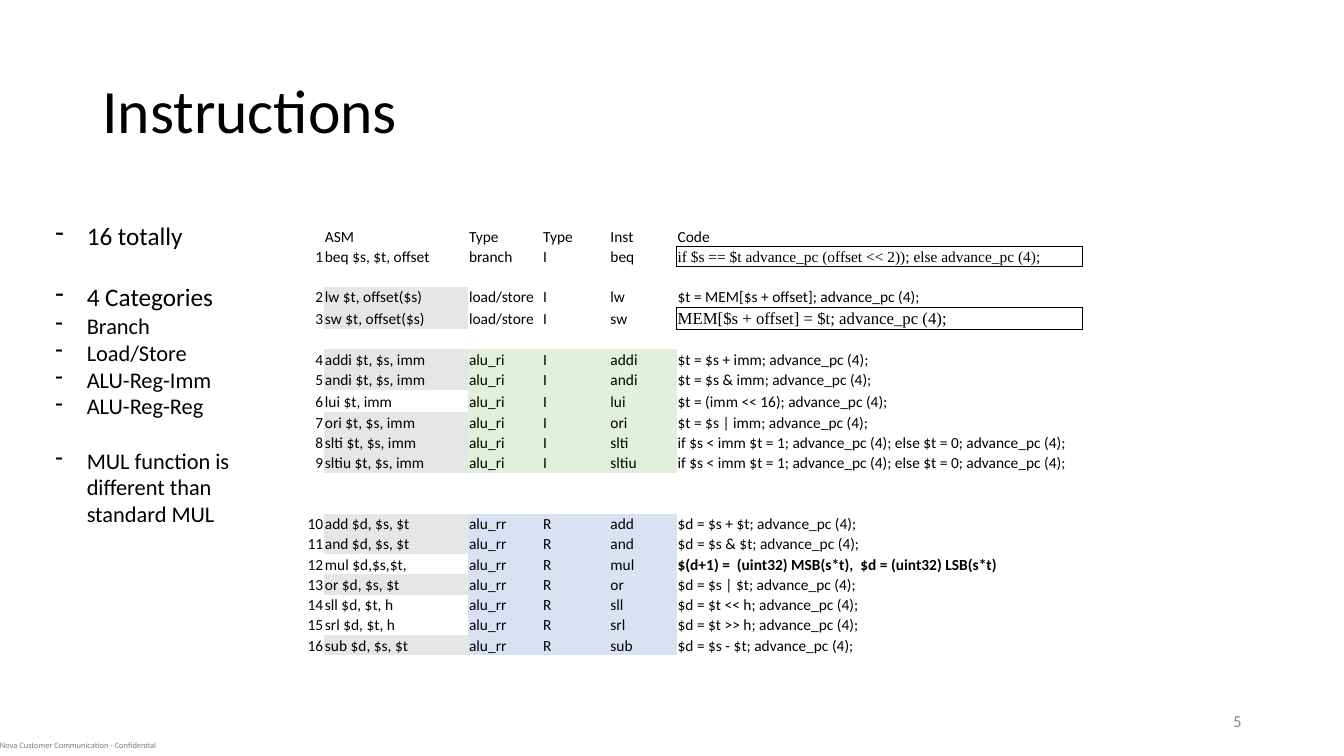
import pptx
import pptx.dml.color
import pptx.enum.text
import pptx.oxml
import pptx.oxml.ns
import pptx.util
from lxml import etree

Pt = pptx.util.Pt
RGBColor = pptx.dml.color.RGBColor
ALIGN = pptx.enum.text.PP_ALIGN
ANCHOR = pptx.enum.text.MSO_ANCHOR
qn = pptx.oxml.ns.qn

BLACK = RGBColor(0x00, 0x00, 0x00)
WHITE = RGBColor(0xFF, 0xFF, 0xFF)
FOOTER_GREY = RGBColor(0x7F, 0x7F, 0x7F)
NUMBER_GREY = RGBColor(0x8C, 0x8C, 0x8C)
ASM_GREY = RGBColor(0xE7, 0xE6, 0xE6)
GREEN = RGBColor(0xE2, 0xEF, 0xDA)
BLUE = RGBColor(0xD9, 0xE1, 0xF2)

prs = pptx.Presentation()
prs.slide_width, prs.slide_height = Pt(960), Pt(540)
s = prs.slides.add_slide(prs.slide_layouts[6])


def add_run(p, text, size, color=BLACK, name="Calibri", bold=False):
    r = p.add_run()
    r.text = text
    for key, value in {"size": Pt(size), "name": name, "bold": bold}.items():
        setattr(r.font, key, value)
    r.font.color.rgb = color


def add_box(left, top, width, height, anchor):
    tf = s.shapes.add_textbox(Pt(left), Pt(top), Pt(width), Pt(height)).text_frame
    tf.word_wrap = True
    tf.vertical_anchor = anchor
    return tf


# Footer, title and slide number
tf = add_box(0, 525, 127.5, 15, ANCHOR.MIDDLE)
for side in ("left", "right", "top", "bottom"):
    setattr(tf, "margin_" + side, 0)
add_run(tf.paragraphs[0], "Nova Customer Communication - Confidential", 6, FOOTER_GREY)

p = add_box(66, 28.8, 828, 104.4, ANCHOR.MIDDLE).paragraphs[0]
p.line_spacing = 0.9
add_run(p, "Instructions", 44)

p = add_box(678, 500.5, 216, 28.8, ANCHOR.MIDDLE).paragraphs[0]
p.alignment = ALIGN.RIGHT
add_run(p, "5", 12, NUMBER_GREY)

# Instruction table: number, ASM, type, format, instruction, code
ROWS = [
    ("", "ASM", "Type", "Type", "Inst", "Code"),
    ("1", "beq $s, $t, offset", "branch", "I", "beq",
     "if $s == $t advance_pc (offset << 2)); else advance_pc (4);"),
    (),
    ("2", "lw $t, offset($s)", "load/store", "I", "lw", "$t = MEM[$s + offset]; advance_pc (4);"),
    ("3", "sw $t, offset($s)", "load/store", "I", "sw", "MEM[$s + offset] = $t; advance_pc (4);"),
    (),
    ("4", "addi $t, $s, imm", "alu_ri", "I", "addi", "$t = $s + imm; advance_pc (4);"),
    ("5", "andi $t, $s, imm", "alu_ri", "I", "andi", "$t = $s & imm; advance_pc (4);"),
    ("6", "lui $t, imm", "alu_ri", "I", "lui", "$t = (imm << 16); advance_pc (4);"),
    ("7", "ori $t, $s, imm", "alu_ri", "I", "ori", "$t = $s | imm; advance_pc (4);"),
    ("8", "slti $t, $s, imm", "alu_ri", "I", "slti",
     "if $s < imm $t = 1; advance_pc (4); else $t = 0; advance_pc (4);"),
    ("9", "sltiu $t, $s, imm", "alu_ri", "I", "sltiu",
     "if $s < imm $t = 1; advance_pc (4); else $t = 0; advance_pc (4);"),
    (),
    (),
    ("10", "add $d, $s, $t", "alu_rr", "R", "add", "$d = $s + $t; advance_pc (4);"),
    ("11", "and $d, $s, $t", "alu_rr", "R", "and", "$d = $s & $t; advance_pc (4);"),
    ("12", "mul $d,$s,$t,", "alu_rr", "R", "mul",
     "$(d+1) =  (uint32) MSB(s*t),  $d = (uint32) LSB(s*t)"),
    ("13", "or $d, $s, $t", "alu_rr", "R", "or", "$d = $s | $t; advance_pc (4);"),
    ("14", "sll $d, $t, h", "alu_rr", "R", "sll", "$d = $t << h; advance_pc (4);"),
    ("15", "srl $d, $t, h", "alu_rr", "R", "srl", "$d = $t >> h; advance_pc (4);"),
    ("16", "sub $d, $s, $t", "alu_rr", "R", "sub", "$d = $s - $t; advance_pc (4);"),
]
COLUMNS = (45, 103, 53, 48, 48, 290)
ROW_HEIGHT = 14.5
TALL_ROWS = {"sw": 15.8, "lui": 15.8}
PLAIN_ASM = ("", "Inst", "beq", "lui", "mul", "sll", "srl")
BOXED_CODE = {"beq": 11, "sw": 12}
TYPE_FILLS = {"alu_ri": GREEN, "alu_rr": BLUE}

table = s.shapes.add_table(len(ROWS), len(COLUMNS), Pt(186.5), Pt(161.4),
                           Pt(sum(COLUMNS)), Pt(ROW_HEIGHT * len(ROWS))).table
table.first_row = table.horz_banding = False
table._tbl.tblPr.find(qn("a:tableStyleId")).text = "{2D5ABB26-0587-4C30-8999-92F81FD0307C}"
for column, width in zip(table.columns, COLUMNS):
    column.width = Pt(width)

for i, row in enumerate(ROWS):
    row = row or ("",) * len(COLUMNS)
    inst = row[4]
    table.rows[i].height = Pt(TALL_ROWS.get(inst, ROW_HEIGHT))
    for j, text in enumerate(row):
        cell = table.cell(i, j)
        boxed = j == 5 and inst in BOXED_CODE
        for key, value in {"margin_left": Pt(0.6), "margin_right": Pt(0.6), "margin_top": Pt(0.6),
                           "margin_bottom": 0,
                           "vertical_anchor": ANCHOR.MIDDLE if boxed else ANCHOR.BOTTOM}.items():
            setattr(cell, key, value)

        # Text
        p = cell.text_frame.paragraphs[0]
        if j == 0:
            p.alignment = ALIGN.RIGHT
        if not text:
            etree.SubElement(p._p, qn("a:endParaRPr"), sz="1100")
        elif boxed:
            add_run(p, text, BOXED_CODE[inst], name="Times New Roman")
        else:
            add_run(p, text, 11, bold=j == 5 and inst == "mul")

        # Fill
        color = None
        if j == 1:
            color = WHITE if inst in PLAIN_ASM else ASM_GREY
        elif 2 <= j <= 4:
            color = TYPE_FILLS.get(row[2])
        if color is None:
            cell.fill.background()
        else:
            cell.fill.solid()
            cell.fill.fore_color.rgb = color

        # Frame around the boxed code
        if boxed:
            for k, side in enumerate("LRTB"):
                cell._tc.tcPr.insert(k, pptx.oxml.parse_xml(
                    f'<a:ln{side} xmlns:a="http://schemas.openxmlformats.org/drawingml/2006/main" '
                    f'w="6350"><a:solidFill><a:srgbClr val="{BLACK}"/></a:solidFill></a:ln{side}>'))

# Bullet list: text, size, space before
BULLETS = [
    ("16 totally", 18, 0),
    ("4 Categories", 18, 22),
    ("Branch", 16, 0),
    ("Load/Store", 16, 0),
    ("ALU-Reg-Imm", 16, 0),
    ("ALU-Reg-Reg", 16, 0),
    ("MUL function is different than standard MUL", 16, 19.5),
]
tf = add_box(32.4, 154.1, 142.6, 227.5, ANCHOR.TOP)
for i, (text, size, gap) in enumerate(BULLETS):
    p = tf.add_paragraph() if i else tf.paragraphs[0]
    p.space_before = Pt(gap)
    add_run(p, text, size)
    pPr = p._p.get_or_add_pPr()
    pPr.set("marL", str(Pt(22.5)))
    pPr.set("indent", str(Pt(-22.5)))
    etree.SubElement(pPr, qn("a:buChar"), char="-")

prs.save("out.pptx")
